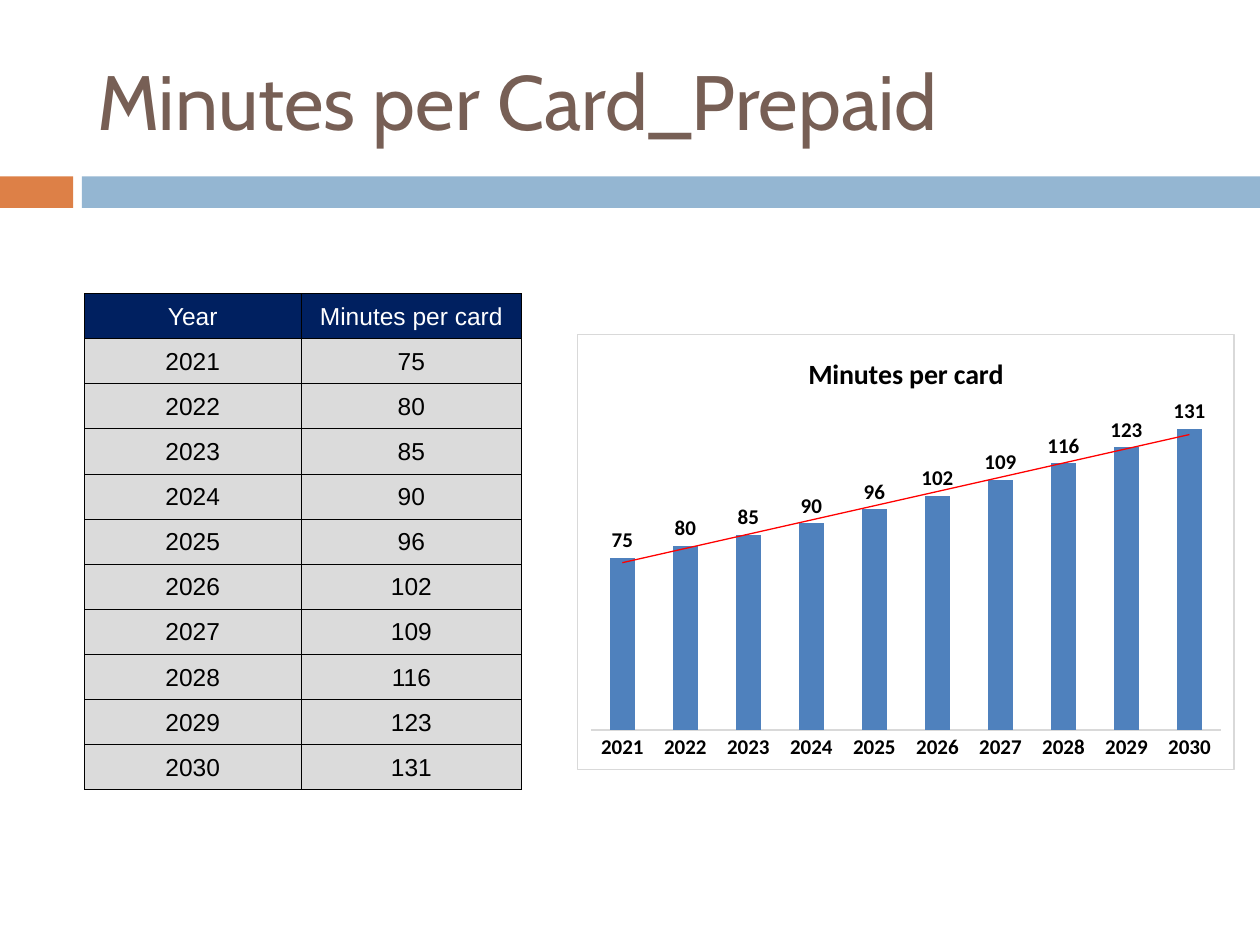
import pptx
import pptx.chart.data
import pptx.dml.color
import pptx.enum.chart
import pptx.enum.shapes
import pptx.enum.text
import pptx.oxml
import pptx.oxml.ns
import pptx.util
from dataclasses import dataclass

Inches = pptx.util.Inches
Pt = pptx.util.Pt


@dataclass(frozen=True)
class Theme:
    white: str = "FFFFFF"
    black: str = "000000"
    title: str = "775F55"
    accent: str = "DD8047"
    band: str = "94B6D2"
    header: str = "002060"
    row: str = "DBDBDB"
    bar: str = "4F81BD"
    trend: str = "FF0000"
    rule: str = "D9D9D9"
    title_size: int = 44
    table_size: int = 14
    chart_title_size: int = 16
    chart_size: int = 12


THEME = Theme()
SERIES_NAME = "Minutes per card"
MINUTES = {
    "2021": 75, "2022": 80, "2023": 85, "2024": 90, "2025": 96,
    "2026": 102, "2027": 109, "2028": 116, "2029": 123, "2030": 131,
}


def set_values(target, values):
    for name, value in values.items():
        setattr(target, name, value)


def rgb(color):
    return pptx.dml.color.RGBColor.from_string(color)


def format_font(font, name, size, color, bold=False):
    set_values(font, {"name": name, "size": Pt(size), "bold": bold})
    font.color.rgb = rgb(color)


def paint(fill, color):
    fill.solid()
    fill.fore_color.rgb = rgb(color)


def xml_element(tag, content, attributes=""):
    namespaces = pptx.oxml.ns.nsdecls("a", "c")
    return pptx.oxml.parse_xml(
        f"<{tag} {namespaces} {attributes}>{content}</{tag}>")


def solid_fill(color):
    return f'<a:solidFill><a:srgbClr val="{color}"/></a:solidFill>'


def line_xml(color, points):
    return f'<a:ln w="{int(Pt(points))}">{solid_fill(color)}</a:ln>'


def add_bar(slide, left, width, color):
    bar = slide.shapes.add_shape(
        pptx.enum.shapes.MSO_SHAPE.RECTANGLE,
        Inches(left), Inches(1.4), Inches(width), Inches(0.25))
    bar.shadow.inherit = False
    paint(bar.fill, color)
    bar.line.fill.background()


def set_title(slide, text):
    title = slide.shapes.title
    set_values(title, {
        "left": Inches(0.67), "top": Inches(0.25),
        "width": Inches(8.92), "height": Inches(1.08)})
    frame = title.text_frame
    set_values(frame, {
        "text": text, "word_wrap": True,
        "auto_size": pptx.enum.text.MSO_AUTO_SIZE.NONE,
        "vertical_anchor": pptx.enum.text.MSO_ANCHOR.MIDDLE})
    paragraph = frame.paragraphs[0]
    paragraph.alignment = pptx.enum.text.PP_ALIGN.LEFT
    format_font(paragraph.font, "Cabin", THEME.title_size, THEME.title)


def format_cell(cell, text, fill_color, text_color):
    set_values(cell, {
        "text": text,
        "vertical_anchor": pptx.enum.text.MSO_ANCHOR.MIDDLE,
        "margin_left": Inches(0.01), "margin_right": Inches(0.01),
        "margin_top": Inches(0.01), "margin_bottom": 0})
    paragraph = cell.text_frame.paragraphs[0]
    paragraph.alignment = pptx.enum.text.PP_ALIGN.CENTER
    format_font(paragraph.font, "Arial", THEME.table_size, text_color)
    properties = cell._tc.get_or_add_tcPr()
    for side in ("L", "R", "T", "B"):
        properties.append(xml_element(
            f"a:ln{side}", solid_fill(THEME.black), f'w="{int(Pt(0.5))}"'))
    paint(cell.fill, fill_color)


def add_minutes_table(slide):
    rows = [("Year", SERIES_NAME), *MINUTES.items()]
    column_widths = (1.72, 1.75)
    table = slide.shapes.add_table(
        len(rows), len(column_widths), Inches(0.67), Inches(2.33),
        Inches(sum(column_widths)), Inches(3.94)).table
    for column, width in zip(table.columns, column_widths):
        column.width = Inches(width)
    for row_index, values in enumerate(rows):
        colors = ((THEME.row, THEME.black) if row_index
                  else (THEME.header, THEME.white))
        for column_index, value in enumerate(values):
            format_cell(table.cell(row_index, column_index), str(value), *colors)


def format_axes(chart):
    no_tick = pptx.enum.chart.XL_TICK_MARK.NONE
    category_axis = chart.category_axis
    set_values(category_axis, {
        "major_tick_mark": no_tick, "minor_tick_mark": no_tick,
        "has_major_gridlines": False})
    category_axis.format.line.color.rgb = rgb(THEME.rule)
    category_axis.format.line.width = Pt(0.75)
    set_values(chart.value_axis, {
        "visible": False, "has_major_gridlines": False,
        "minimum_scale": 0, "maximum_scale": 140})


def format_series(plot):
    set_values(plot, {
        "gap_width": 150, "overlap": -25, "vary_by_categories": False})
    series = plot.series[0]
    paint(series.format.fill, THEME.bar)
    labels = series.data_labels
    set_values(labels, {
        "show_value": True, "number_format": "0",
        "number_format_is_linked": False,
        "position": pptx.enum.chart.XL_LABEL_POSITION.OUTSIDE_END})
    format_font(labels.font, "Calibri", THEME.chart_size, THEME.black, True)
    # Linear trend line, placed just before the categories
    trend = xml_element(
        "c:trendline",
        f"<c:spPr>{line_xml(THEME.trend, 0.75)}</c:spPr>"
        '<c:trendlineType val="linear"/>'
        '<c:dispRSqr val="0"/><c:dispEq val="0"/>')
    series._element.find(pptx.oxml.ns.qn("c:cat")).addprevious(trend)


def format_chart_frame(chart):
    # White background with a thin border
    chart_element = chart._chartSpace.find(pptx.oxml.ns.qn("c:chart"))
    chart_element.addnext(xml_element(
        "c:spPr", solid_fill(THEME.white) + line_xml(THEME.rule, 0.75)))
    # Inner plot area, as fractions of the chart
    plot_area = chart_element.find(pptx.oxml.ns.qn("c:plotArea"))
    for old_layout in plot_area.findall(pptx.oxml.ns.qn("c:layout")):
        plot_area.remove(old_layout)
    fractions = {"x": 0.02, "y": 0.17, "w": 0.96, "h": 0.74}
    plot_area.insert(0, xml_element(
        "c:layout",
        '<c:manualLayout><c:layoutTarget val="inner"/>'
        '<c:xMode val="edge"/><c:yMode val="edge"/>'
        + "".join(f'<c:{key} val="{value}"/>' for key, value in fractions.items())
        + "</c:manualLayout>"))


def add_minutes_chart(slide):
    data = pptx.chart.data.CategoryChartData(number_format="0")
    data.categories = list(MINUTES)
    data.add_series(SERIES_NAME, MINUTES.values())
    chart = slide.shapes.add_chart(
        pptx.enum.chart.XL_CHART_TYPE.COLUMN_CLUSTERED,
        Inches(4.58), Inches(2.65), Inches(5.22), Inches(3.46), data).chart
    format_font(chart.font, "Calibri", THEME.chart_size, THEME.black, True)
    set_values(chart, {"has_legend": False, "has_title": True})
    title_frame = chart.chart_title.text_frame
    title_frame.text = SERIES_NAME
    format_font(title_frame.paragraphs[0].runs[0].font, "Calibri",
                THEME.chart_title_size, THEME.black, True)
    chart.chart_title.include_in_layout = False
    format_axes(chart)
    format_series(chart.plots[0])
    format_chart_frame(chart)


def main():
    presentation = pptx.Presentation()
    set_values(presentation, {
        "slide_width": Inches(10), "slide_height": Inches(7.5)})
    slide = presentation.slides.add_slide(presentation.slide_layouts[5])
    paint(slide.background.fill, THEME.white)

    # Heading and divider
    add_bar(slide, 0, 0.58, THEME.accent)
    add_bar(slide, 0.65, 9.35, THEME.band)
    set_title(slide, "Minutes per Card_Prepaid")

    # Yearly figures
    add_minutes_table(slide)
    add_minutes_chart(slide)
    presentation.save("out.pptx")


if __name__ == "__main__":
    main()
